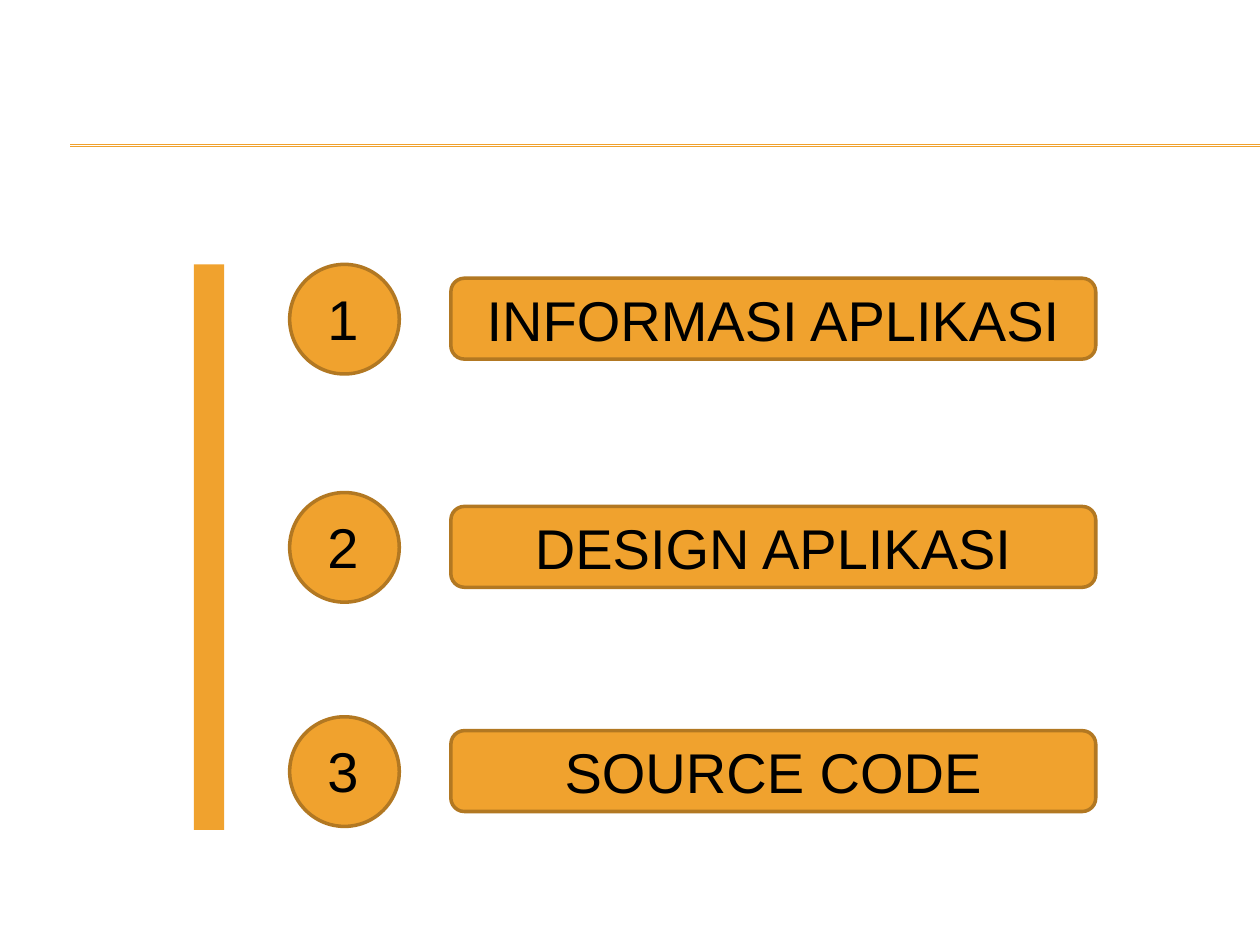
from pptx import Presentation
from pptx.dml.color import RGBColor
from pptx.enum import shapes, text
from pptx.oxml.ns import qn
from pptx.util import Cm, Pt
from lxml import etree

GOLD = RGBColor(0xF0, 0xA2, 0x2E)
BROWN = RGBColor(0xB2, 0x78, 0x22)
BLACK = RGBColor(0, 0, 0)
KIND = shapes.MSO_SHAPE

# Label and top of each row, in cm
ROWS = [("INFORMASI APLIKASI", 5.33),
        ("DESIGN APLIKASI", 9.93),
        ("SOURCE CODE", 14.45)]
INSET = 0.28
HIGH = 1.63


def add_rule(slide, top):
    rule = slide.shapes.add_connector(
        shapes.MSO_CONNECTOR.STRAIGHT, Cm(1.42), Cm(top), Cm(25.4), Cm(top))
    rule.line.color.rgb = GOLD
    rule.line.width = Pt(0.75)
    etree.SubElement(rule._element.spPr, qn("a:effectLst"))


def add_block(slide, kind, left, top, width, height, edge=True):
    block = slide.shapes.add_shape(
        kind, Cm(left), Cm(top), Cm(width), Cm(height))
    block.shadow.inherit = False
    block.fill.solid()
    block.fill.fore_color.rgb = GOLD
    if edge:
        block.line.color.rgb = BROWN
        block.line.width = Pt(2)
    else:
        block.line.fill.background()
    return block


def set_text(shape, words, align):
    frame = shape.text_frame
    frame.text = words
    para = frame.paragraphs[0]
    para.alignment = align
    font = para.runs[0].font
    font.name = "Arial"
    font.size = Pt(32)
    font.color.rgb = BLACK


def add_digit(slide, digit, top):
    box = slide.shapes.add_textbox(Cm(6.35), Cm(top), Cm(1.12), Cm(HIGH))
    box.text_frame.word_wrap = False
    box.text_frame.auto_size = text.MSO_AUTO_SIZE.SHAPE_TO_FIT_TEXT
    set_text(box, digit, text.PP_ALIGN.LEFT)


def add_row(slide, number, label, top):
    add_block(slide, KIND.OVAL, 5.84, top, 2.21, 2.21)
    add_digit(slide, str(number), top + INSET)
    bar = add_block(slide, KIND.ROUNDED_RECTANGLE,
                    9.09, top + INSET, 13, HIGH)
    bar.text_frame.vertical_anchor = text.MSO_ANCHOR.MIDDLE
    set_text(bar, label, text.PP_ALIGN.CENTER)


def main():
    deck = Presentation()
    deck.slide_width, deck.slide_height = Cm(25.4), Cm(19.05)
    slide = deck.slides.add_slide(deck.slide_layouts[6])

    # Header rules
    for top in (2.92, 2.95):
        add_rule(slide, top)

    # Side bar and numbered rows
    add_block(slide, KIND.RECTANGLE, 3.91, 5.33, 0.61, 11.4, edge=False)
    for number, (label, top) in enumerate(ROWS, 1):
        add_row(slide, number, label, top)

    deck.save("out.pptx")


main()
